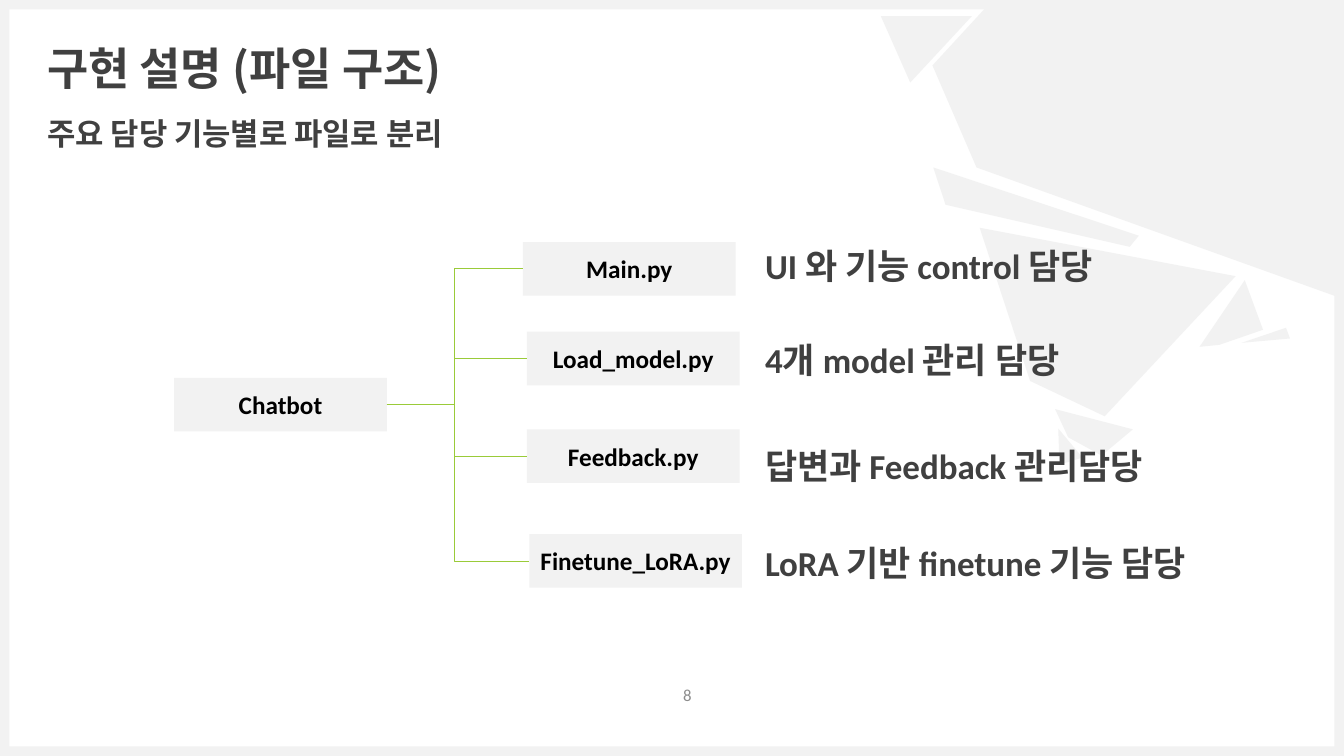
from lxml import etree
from pptx import Presentation
from pptx import util as u
from pptx.dml.color import RGBColor
from pptx.enum import shapes, text
from pptx.oxml.ns import qn

Cm, Pt = u.Cm, u.Pt

# Content
TITLE = "구현 설명 (파일 구조)"
SUBTITLE = "주요 담당 기능별로 파일로 분리"
PAGE_NUMBER = "8"
ROOT = ("Chatbot", 4.39, 9.52)
# file name, box left, box top, role, role top, role width (cm)
FILES = [
    ("Main.py", 13.18, 6.1, "UI 와 기능 control 담당", 6.17, 9.8),
    ("Load_model.py", 13.28, 8.36, "4개 model 관리 담당", 8.53, 9.8),
    ("Feedback.py", 13.28, 10.82, "답변과 Feedback 관리담당", 11.2, 9.8),
    ("Finetune_LoRA.py", 13.34, 13.46, "LoRA 기반 finetune 기능 담당", 13.64, 12.7),
]
# Corner points of the background shards (cm)
SHARDS = [
    [(22.2, 0.41), (24.49, 0.41), (22.94, 2.08)],
    [(25.02, 0), (33.87, 0), (33.87, 7.54), (24.61, 4.22), (23.5, 1.65)],
    [(24.69, 5.74), (31.14, 6.96), (27.84, 10.49), (25.96, 9.6)],
    [(26.67, 10.8), (27.28, 11.53), (26.7, 11.71)],
    [(26.59, 10.31), (28.55, 10.82), (27.76, 11.48), (26.92, 11.02)],
    [(23.52, 4.22), (28.7, 5.94), (28.47, 6.22), (23.83, 5.16)],
    [(32.41, 8.26), (32.51, 8.53), (31.29, 8.64)],
    [(31.37, 7.06), (31.83, 8.31), (30.73, 8.69), (30.23, 8.74)],
]

# Style
WIDTH, HEIGHT, FRAME = 33.87, 19.05, 0.24
BOX_WIDTH, BOX_HEIGHT = 5.36, 1.35
TRUNK_X, ROLE_LEFT, MARGIN = 11.44, 19.28, 1.19
PALE = RGBColor(0xF2, 0xF2, 0xF2)
DARK = RGBColor(0x40, 0x40, 0x40)
GRAY = RGBColor(0x8C, 0x8C, 0x8C)
BLACK = RGBColor(0, 0, 0)
GREEN = RGBColor(0x9A, 0xCB, 0x39)
LATIN, KOREAN = "Calibri", "Noto Sans CJK KR"

presentation = Presentation()
presentation.slide_width, presentation.slide_height = Cm(WIDTH), Cm(HEIGHT)
slide = presentation.slides.add_slide(presentation.slide_layouts[6])


def paint(shape):
    shape.shadow.inherit = False
    shape.fill.solid()
    shape.fill.fore_color.rgb = PALE
    shape.line.fill.background()
    return shape


def add_rectangle(left, top, width, height):
    return paint(slide.shapes.add_shape(
        shapes.MSO_SHAPE.RECTANGLE, Cm(left), Cm(top), Cm(width), Cm(height)))


def write(shape, words, size, color, font=LATIN, bold=True,
          align=text.PP_ALIGN.LEFT, anchor=text.MSO_ANCHOR.TOP):
    frame = shape.text_frame
    frame.word_wrap = True
    frame.vertical_anchor = anchor
    paragraph = frame.paragraphs[0]
    paragraph.alignment = align
    run = paragraph.add_run()
    run.text = words
    run.font.size, run.font.bold, run.font.name = Pt(size), bold, font
    run.font.color.rgb = color
    east_asian = etree.SubElement(run.font._element, qn("a:ea"))
    east_asian.set("typeface", KOREAN)
    return paragraph


def add_text(left, top, width, height, inset=0):
    box = slide.shapes.add_textbox(Cm(left), Cm(top), Cm(width), Cm(height))
    frame = box.text_frame
    frame.margin_left = frame.margin_right = Cm(inset)
    frame.margin_top = frame.margin_bottom = Cm(inset / 2)
    return box


def add_box(name, left, top):
    box = add_rectangle(left, top, BOX_WIDTH, BOX_HEIGHT)
    write(box, name, 18, BLACK, align=text.PP_ALIGN.CENTER,
          anchor=text.MSO_ANCHOR.MIDDLE)
    return box


def add_branch(parent, child):
    connector = slide.shapes.add_connector(shapes.MSO_CONNECTOR.ELBOW, 0, 0, 0, 0)
    connector.begin_connect(parent, 3)
    connector.end_connect(child, 1)
    connector.line.color.rgb = GREEN
    connector.line.width = Pt(0.5)
    properties = connector._element.spPr
    etree.SubElement(properties, qn("a:effectLst"))
    # Bend every branch at the shared trunk
    start = parent.left + parent.width
    bend = round((Cm(TRUNK_X) - start) / (child.left - start) * 100000)
    guide = etree.SubElement(properties.find(".//" + qn("a:avLst")), qn("a:gd"))
    guide.set("name", "adj1")
    guide.set("fmla", f"val {bend}")


# Frame and shards
for edge in [(0, HEIGHT - FRAME, WIDTH, FRAME), (0, 0, WIDTH, FRAME),
             (0, 0, FRAME, HEIGHT), (WIDTH - FRAME, 0, FRAME, HEIGHT)]:
    add_rectangle(*edge)
for points in SHARDS:
    corners = [(Cm(x), Cm(y)) for x, y in points]
    builder = slide.shapes.build_freeform(*corners[0])
    builder.add_line_segments(corners[1:], close=True)
    paint(builder.convert_to_shape())

# Headings and page number
heading = write(add_text(MARGIN, MARGIN, 31.5, 1.19), TITLE, 32, DARK, KOREAN,
                anchor=text.MSO_ANCHOR.MIDDLE)
heading.line_spacing = 0.9
subheading = write(add_text(MARGIN, 3, 31.5, 0.76), SUBTITLE, 22, DARK, KOREAN)
subheading.line_spacing = 0.9
subheading.space_before = Pt(10)
write(add_text(16.41, 16.99, 1.27, 1.02, inset=0.25), PAGE_NUMBER, 12, GRAY,
      bold=False, align=text.PP_ALIGN.RIGHT, anchor=text.MSO_ANCHOR.MIDDLE)

# File tree with the role of each file
root = add_box(*ROOT)
for name, left, top, role, role_top, role_width in FILES:
    add_branch(root, add_box(name, left, top))
    write(add_text(ROLE_LEFT, role_top, role_width, 0.97), role, 25, DARK)

presentation.save("out.pptx")
